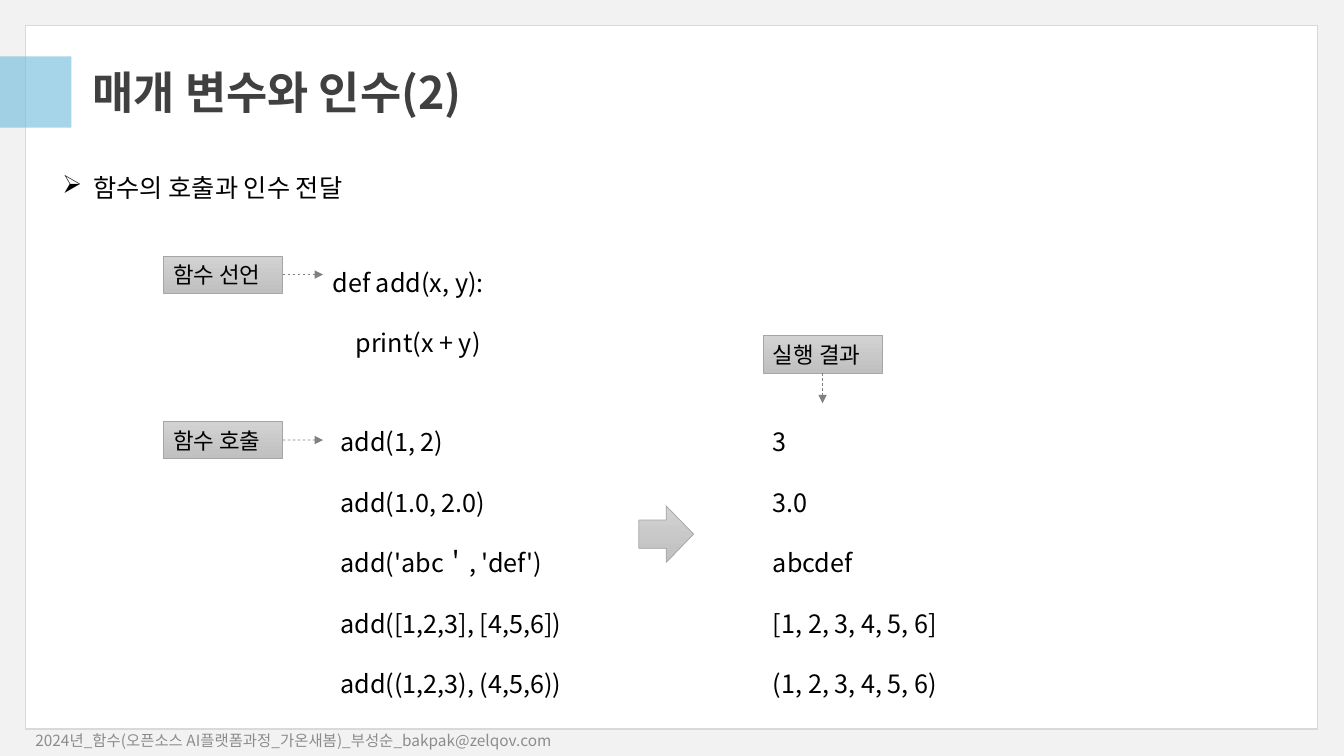
"""Build the slide on parameters and arguments of a function."""
from dataclasses import dataclass

from lxml import etree
from pptx import Presentation
from pptx.dml.color import RGBColor
from pptx.enum.dml import MSO_LINE
from pptx.enum.shapes import MSO_CONNECTOR as Connector, MSO_SHAPE as Preset
from pptx.enum.text import MSO_ANCHOR as Anchor, MSO_AUTO_SIZE as AutoSize, PP_ALIGN as Align
from pptx.oxml.ns import qn
from pptx.shapes.autoshape import Shape
from pptx.slide import Slide
from pptx.util import Cm, Pt

FONT = "Noto Sans CJK KR"
BLACK = "000000"
LABEL_WIDTH, LABEL_HEIGHT = 3.0, 0.94
BOTTOM, RIGHT = 2, 3


@dataclass(frozen=True)
class Line:
    text: str
    indent: float = 0
    bullet: str = ""


@dataclass(frozen=True)
class TextBlock:
    left: float
    top: float
    width: float
    height: float
    lines: tuple[Line, ...]
    size: float = 18
    spacing: float = 1.0
    color: str = BLACK
    bold: bool = False
    anchor: Anchor = Anchor.TOP
    wrap: bool = True


@dataclass(frozen=True)
class Label:
    text: str
    left: float
    top: float
    side: int
    arrow_length: float


TEXT_BLOCKS = (
    TextBlock(2.08, 1.5, 29.21, 1.8, (Line("매개 변수와 인수(2)"),),
              size=32, spacing=0.9, color="404040", bold=True, anchor=Anchor.MIDDLE),
    TextBlock(1.32, 4.22, 8.41, 1.02,
              (Line("함수의 호출과 인수 전달", indent=0.79, bullet="➢"),), wrap=False),
    TextBlock(8.13, 5.84, 5.41, 3.1,
              (Line("def add(x, y):"), Line("print(x + y)", indent=0.58)), spacing=2.0),
    TextBlock(8.33, 9.86, 7.34, 7.7,
              (Line("add(1, 2)"), Line("add(1.0, 2.0)"), Line("add('abc＇, 'def')"),
               Line("add([1,2,3], [4,5,6])"), Line("add((1,2,3), (4,5,6))")), spacing=2.0),
    TextBlock(19.23, 9.86, 10.06, 7.7,
              (Line("3"), Line("3.0"), Line("abcdef"),
               Line("[1, 2, 3, 4, 5, 6]"), Line("(1, 2, 3, 4, 5, 6)")), spacing=2.0),
    TextBlock(0.64, 18.2, 19.76, 0.9,
              (Line("2024년_함수(오픈소스 AI플랫폼과정_가온새봄)_부성순_bakpak@zelqov.com"),),
              size=11, color="8C8C8C", anchor=Anchor.MIDDLE),
)

LABELS = (
    Label("함수 선언", 4.12, 6.45, RIGHT, 1.02),
    Label("함수 호출", 4.12, 10.62, RIGHT, 1.02),
    Label("실행 결과", 19.23, 8.46, BOTTOM, 0.76),
)


def rgb(value: str) -> RGBColor:
    return RGBColor.from_string(value)


def write_lines(shape: Shape, lines: tuple[Line, ...], size: float, spacing: float = 1.0,
                color: str = BLACK, bold: bool = False) -> None:
    frame = shape.text_frame
    for index, line in enumerate(lines):
        paragraph = frame.paragraphs[0] if index == 0 else frame.add_paragraph()
        paragraph.text = line.text
        paragraph.alignment = Align.LEFT
        paragraph.line_spacing = spacing
        properties = paragraph._p.get_or_add_pPr()
        if line.indent:
            properties.set("marL", str(Cm(line.indent)))
        if line.bullet:
            properties.set("indent", str(-Cm(line.indent)))
            etree.SubElement(properties, qn("a:buChar"), char=line.bullet)
        font = paragraph.font
        font.name = FONT
        font.size = Pt(size)
        font.bold = bold
        font.color.rgb = rgb(color)
        etree.SubElement(properties.find(qn("a:defRPr")), qn("a:ea"), typeface=FONT)


def add_text(slide: Slide, block: TextBlock) -> None:
    box = slide.shapes.add_textbox(Cm(block.left), Cm(block.top), Cm(block.width), Cm(block.height))
    box.text_frame.word_wrap = block.wrap
    box.text_frame.vertical_anchor = block.anchor
    write_lines(box, block.lines, block.size, block.spacing, block.color, block.bold)


def add_preset(slide: Slide, preset: Preset, left: float, top: float,
               width: float, height: float) -> Shape:
    shape = slide.shapes.add_shape(preset, Cm(left), Cm(top), Cm(width), Cm(height))
    shape.shadow.inherit = False
    return shape


def paint_gray(shape: Shape) -> None:
    shape.fill.gradient()
    shape.fill.gradient_angle = 270
    for stop, color in zip(shape.fill.gradient_stops, ("D2D2D2", "C0C0C0")):
        stop.color.rgb = rgb(color)
    shape.line.color.rgb = rgb("A5A5A5")
    shape.line.width = Pt(0.5)


def add_label(slide: Slide, label: Label) -> None:
    shape = add_preset(slide, Preset.RECTANGLE, label.left, label.top, LABEL_WIDTH, LABEL_HEIGHT)
    paint_gray(shape)
    shape.text_frame.word_wrap = False
    shape.text_frame.auto_size = AutoSize.SHAPE_TO_FIT_TEXT
    write_lines(shape, (Line(label.text),), size=16)

    if label.side == RIGHT:
        end_x = label.left + LABEL_WIDTH + label.arrow_length
        end_y = label.top + LABEL_HEIGHT / 2
    else:
        end_x = label.left + LABEL_WIDTH / 2
        end_y = label.top + LABEL_HEIGHT + label.arrow_length
    arrow = slide.shapes.add_connector(Connector.STRAIGHT, shape.left, shape.top,
                                       Cm(end_x), Cm(end_y))
    arrow.begin_connect(shape, label.side)
    arrow.line.color.rgb = rgb("808080")
    arrow.line.width = Pt(0.5)
    arrow.line.dash_style = MSO_LINE.DASH
    etree.SubElement(arrow.line._get_or_add_ln(), qn("a:tailEnd"), type="triangle")
    etree.SubElement(arrow._element.spPr, qn("a:effectLst"))


def add_backdrop(slide: Slide) -> None:
    slide.background.fill.solid()
    slide.background.fill.fore_color.rgb = rgb("F2F2F2")

    panel = add_preset(slide, Preset.RECTANGLE, 0.64, 0.64, 32.56, 17.73)
    panel.fill.solid()
    panel.fill.fore_color.rgb = rgb("FFFFFF")
    panel.line.color.rgb = rgb("D9D9D9")
    panel.line.width = Pt(1)

    accent = add_preset(slide, Preset.RECTANGLE, 0, 1.42, 1.8, 1.8)
    accent.fill.solid()
    accent.fill.fore_color.rgb = rgb("6FBADC")
    accent.line.fill.background()
    color = accent._element.spPr.find(qn("a:solidFill")).find(qn("a:srgbClr"))
    etree.SubElement(color, qn("a:alpha"), val="61000")


def main() -> None:
    presentation = Presentation()
    presentation.slide_width = Cm(33.87)
    presentation.slide_height = Cm(19.05)
    slide = presentation.slides.add_slide(presentation.slide_layouts[6])

    add_backdrop(slide)
    for block in TEXT_BLOCKS:
        add_text(slide, block)
    for label in LABELS:
        add_label(slide, label)
    paint_gray(add_preset(slide, Preset.RIGHT_ARROW, 16.1, 12.75, 1.38, 1.42))

    presentation.save("out.pptx")


if __name__ == "__main__":
    main()
